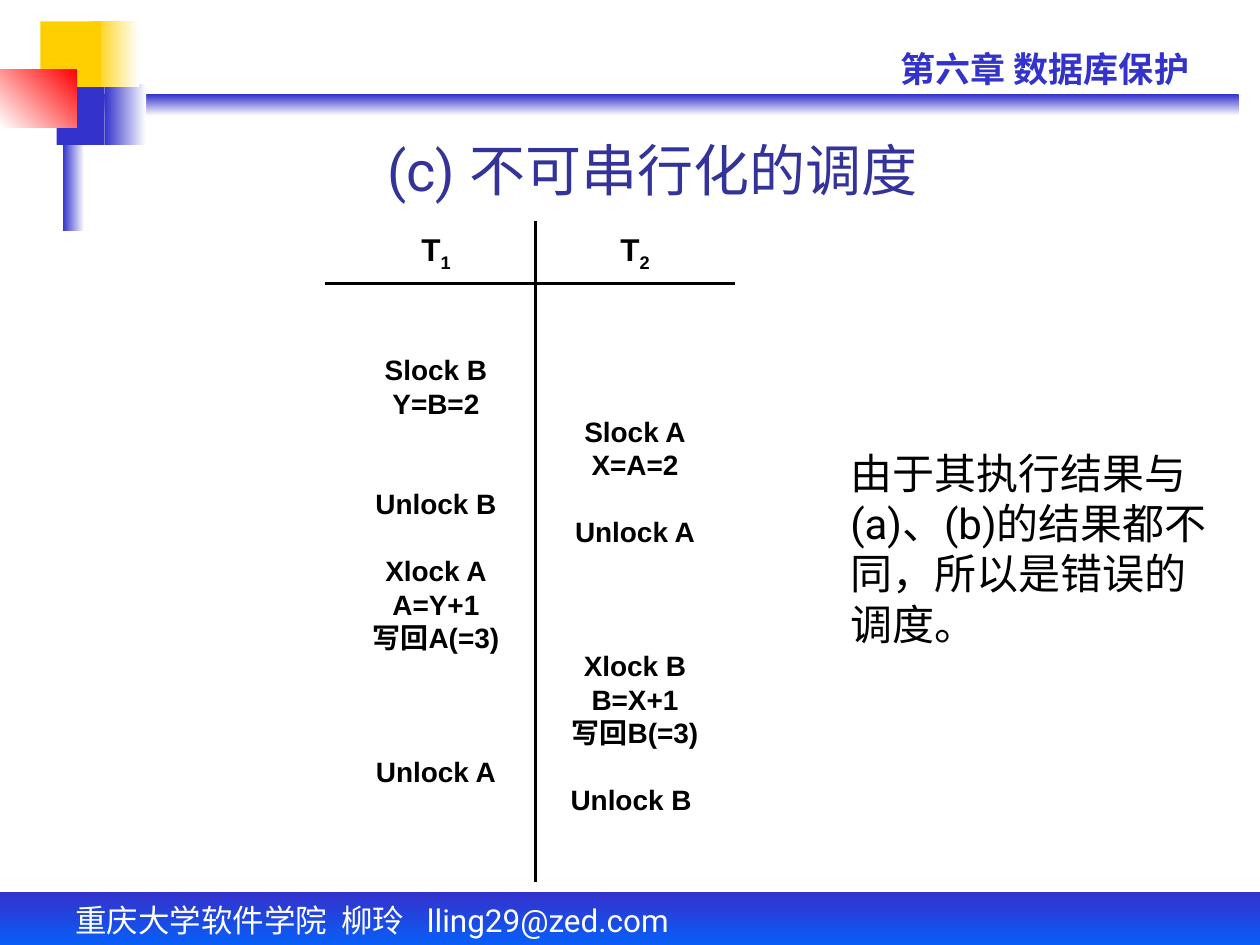
from dataclasses import dataclass

from lxml.etree import SubElement
from pptx import Presentation
from pptx.dml.color import RGBColor
from pptx.enum.shapes import MSO_CONNECTOR, MSO_SHAPE
from pptx.enum.text import MSO_ANCHOR, PP_ALIGN
from pptx.oxml.ns import qn
from pptx.util import Inches, Pt


@dataclass(frozen=True)
class Theme:
    latin: str = "Arial"
    body: str = "Roboto"
    blue: str = "3333CC"
    sky: str = "0066FF"
    yellow: str = "FFCF01"
    red: str = "FF0000"
    white: str = "FFFFFF"
    black: str = "000000"
    title: str = "333399"
    title_size: int = 32
    note_size: int = 24
    chapter_size: int = 20
    label_size: int = 18
    step_size: int = 16
    step_pitch: float = 19.15
    rule: float = 2.25


T = Theme()

DECOR = [
    ((0.58, 0.75, 9.25, 0.17), T.blue, T.white, 90),
    ((0.83, 0.67, 0.33, 0.48), T.blue, T.white, 0),
    ((0, 7.08, 10, 0.5), T.blue, T.sky, 90),
    ((0.5, 0.58, 0.17, 1.25), T.blue, T.white, 0),
    ((0.45, 0.67, 0.38, 0.48), T.blue, None, 0),
    ((0.74, 0.17, 0.36, 0.52), T.yellow, T.white, 0),
    ((0.32, 0.17, 0.48, 0.52), T.yellow, None, 0),
    ((0, 0.55, 0.61, 0.46), T.red, T.white, 135),
]
FOOTER = "重庆大学软件学院\t柳玲\tlling29@zed.com"
FOOTER_TABS = [2.11, 2.79]
CHAPTER = "第六章 数据库保护"
TITLE = "(c) 不可串行化的调度"
NOTE = "由于其执行结果与(a)、(b)的结果都不同，所以是错误的调度。"
SCHEDULE = [
    ("1", 2.75, [(0, "Slock B"), (0, "Y=B=2"), (2, "Unlock B"), (1, "Xlock A"),
                 (0, "A=Y+1"), (0, "写回A(=3)"), (3, "Unlock A")]),
    ("2", 3.24, [(0, "Slock A"), (0, "X=A=2"), (1, "Unlock A"), (3, "Xlock B"),
                 (0, "B=X+1"), (0, "写回B(=3)"), (1, "Unlock B ")]),
]
LEFT, TOP, COL_W, HEAD_H, BOTTOM = 2.67, 1.75, 1.58, 0.5, 7
RULES = [(2.58, TOP + HEAD_H, 5.83, TOP + HEAD_H), (4.25, TOP, 4.25, BOTTOM)]


def rgb(color):
    return RGBColor.from_string(color)


def add_block(s, box, start, end, angle):
    sp = s.shapes.add_shape(MSO_SHAPE.RECTANGLE, *map(Inches, box))
    sp.shadow.inherit = False
    sp.line.fill.background()
    if end is None:
        sp.fill.solid()
        sp.fill.fore_color.rgb = rgb(start)
        return
    sp.fill.gradient()
    sp.fill.gradient_angle = (360 - angle) % 360
    for stop, color in zip(sp.fill.gradient_stops, (start, end)):
        stop.color.rgb = rgb(color)


def add_frame(s, box, anchor=MSO_ANCHOR.TOP, wrap=True):
    tf = s.shapes.add_textbox(*map(Inches, box)).text_frame
    tf.word_wrap = wrap
    tf.vertical_anchor = anchor
    return tf


def style(p, size, color, font, bold=False, align=PP_ALIGN.LEFT):
    p.alignment = align
    p.font.size = Pt(size)
    p.font.name = font
    p.font.bold = bold
    p.font.color.rgb = rgb(color)


def add_text(s, box, text, size, color, bold=False, align=PP_ALIGN.LEFT,
             anchor=MSO_ANCHOR.TOP, tabs=()):
    p = add_frame(s, box, anchor).paragraphs[0]
    p.text = text
    if tabs:
        tab_list = SubElement(p._p.get_or_add_pPr(), qn("a:tabLst"))
        for pos in tabs:
            SubElement(tab_list, qn("a:tab"), pos=str(Inches(pos)), algn="l")
    style(p, size, color, T.body, bold, align)


def add_rule(s, x1, y1, x2, y2):
    line = s.shapes.add_connector(MSO_CONNECTOR.STRAIGHT, *map(Inches, (x1, y1, x2, y2)))
    line.line.color.rgb = rgb(T.black)
    line.line.width = Pt(T.rule)
    SubElement(line._element.spPr, qn("a:effectLst"))


def add_column(s, x, number, top, steps):
    p = add_frame(s, (x, TOP, COL_W, HEAD_H), MSO_ANCHOR.MIDDLE, False).paragraphs[0]
    p.add_run().text = "T"
    r = p.add_run()
    r.text = number
    r._r.get_or_add_rPr().set("baseline", "-25000")
    style(p, T.label_size, T.black, T.latin, True, PP_ALIGN.CENTER)

    tf = add_frame(s, (x, top, COL_W, BOTTOM - top), wrap=False)
    for i, (gap, text) in enumerate(steps):
        p = tf.add_paragraph() if i else tf.paragraphs[0]
        p.text = text
        p.line_spacing = Pt(T.step_pitch)
        if gap:
            p.space_before = Pt(gap * T.step_pitch)
        style(p, T.step_size, T.black, T.latin, True, PP_ALIGN.CENTER)


def main():
    prs = Presentation()
    prs.slide_width, prs.slide_height = Inches(10), Inches(7.5)
    s = prs.slides.add_slide(prs.slide_layouts[6])
    for block in DECOR:
        add_block(s, *block)
    add_text(s, (0.5, 7.1, 5.58, 0.4), FOOTER, T.label_size, T.white, tabs=FOOTER_TABS)
    add_text(s, (7.05, 0.33, 2.79, 0.44), CHAPTER, T.chapter_size, T.blue, bold=True)
    add_text(s, (1.22, 0.99, 7.92, 0.67), TITLE, T.title_size, T.title,
             align=PP_ALIGN.CENTER, anchor=MSO_ANCHOR.BOTTOM)
    for rule in RULES:
        add_rule(s, *rule)
    for i, column in enumerate(SCHEDULE):
        add_column(s, LEFT + i * COL_W, *column)
    add_text(s, (6.65, 3.5, 3.05, 1.7), NOTE, T.note_size, T.black)
    prs.save("out.pptx")


if __name__ == "__main__":
    main()
